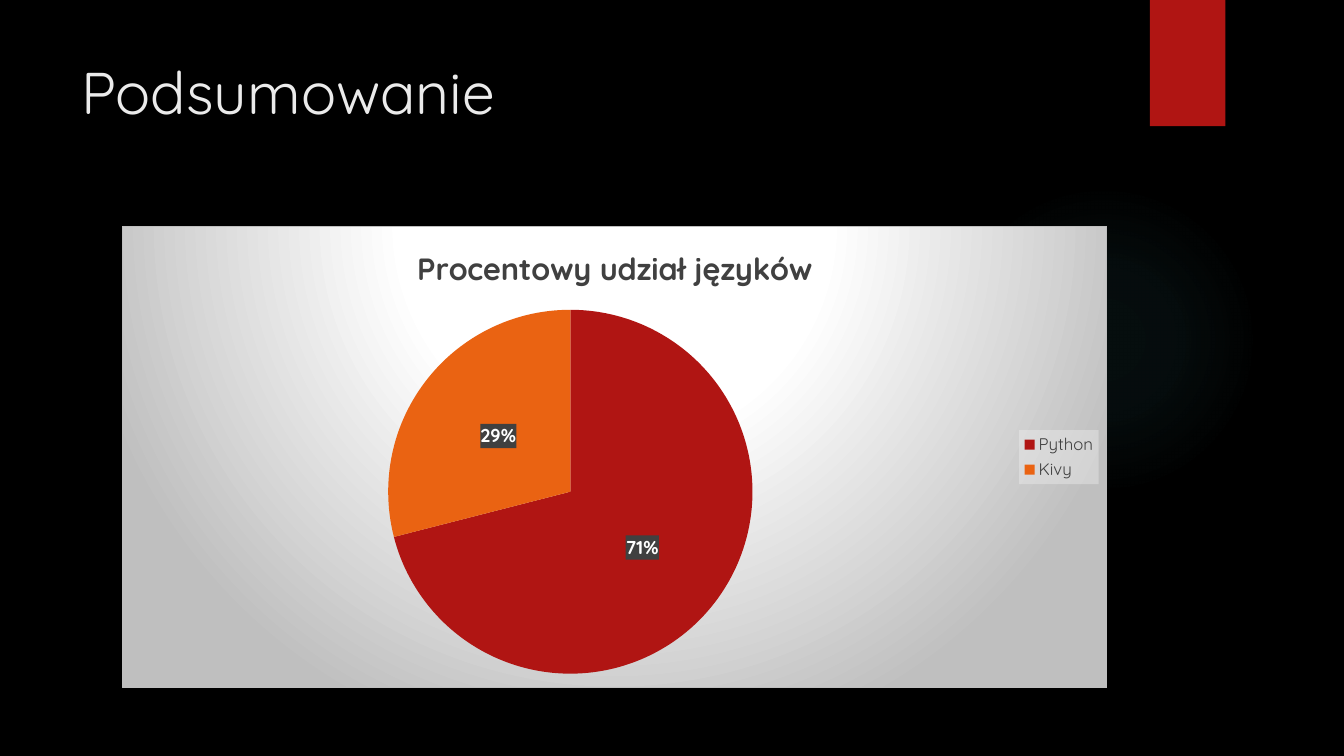
"""Build the summary slide with a pie chart of language shares."""
import lxml.etree
import pptx
import pptx.chart.data
import pptx.dml.color
import pptx.enum.chart
import pptx.enum.shapes
import pptx.enum.text
import pptx.oxml.ns
import pptx.util
from pptx.util import Cm, Pt

FONT = "Quicksand"
TITLE = "Podsumowanie"
CHART_TITLE = "Procentowy udział języków"
SHARES = [("Python", 71, "B01513"), ("Kivy", 29, "EA6312")]

TITLE_AREA = (1.8, 1.27, 26.14, 3.89)
GLOW_AREA = (23.9, 4.65, 7.82, 7.82)
RIBBON_AREA = (28.98, 0, 1.9, 3.18)
CHART_AREA = (3.07, 5.69, 24.84, 11.66)
PIE_LAYOUT = {"x": 0.27, "y": 0.18, "w": 0.37, "h": 0.79}

GLOW_STOPS = [(0, "50B9C1", 7), (36, "50B9C1", 6), (69, "50B9C1", 0)]
PANEL_STOPS = [(0, "FFFFFF", 100), (39, "FFFFFF", 100), (100, "BFBFBF", 100)]


def rgb(value):
    return pptx.dml.color.RGBColor.from_string(value)


def place(area):
    return [Cm(length) for length in area]


def style(font, size, color, bold=False):
    font.name, font.size, font.bold = FONT, Pt(size), bold
    font.color.rgb = rgb(color)


def xml(text):
    spaces = " ".join(pptx.oxml.ns.nsdecls(prefix) for prefix in ("a", "c"))
    return pptx.oxml.parse_xml(text.replace(">", f" {spaces}>", 1))


def color_xml(color, alpha):
    return f'<a:srgbClr val="{color}"><a:alpha val="{alpha * 1000}"/></a:srgbClr>'


def gradient(stops, top, bottom):
    marks = "".join(f'<a:gs pos="{pos * 1000}">{color_xml(color, alpha)}</a:gs>'
                    for pos, color, alpha in stops)
    return (f'<a:gradFill><a:gsLst>{marks}</a:gsLst><a:path path="circle">'
            f'<a:fillToRect l="50000" t="{top * 1000}" r="50000" b="{bottom * 1000}"/>'
            '</a:path></a:gradFill>')


def set_background(element, fill, line="<a:ln><a:noFill/></a:ln>"):
    element.xpath("c:txPr")[0].addprevious(xml(f"<c:spPr>{fill}{line}</c:spPr>"))


def solid(color, alpha):
    return f"<a:solidFill>{color_xml(color, alpha)}</a:solidFill>"


def add_plain_shape(page, kind, area):
    shape = page.shapes.add_shape(kind, *place(area))
    shape.shadow.inherit = False
    shape.line.fill.background()
    return shape


def add_title(page):
    title = page.shapes.title
    title.left, title.top, title.width, title.height = place(TITLE_AREA)
    frame = title.text_frame
    frame.text = TITLE
    frame.vertical_anchor = pptx.enum.text.MSO_ANCHOR.TOP
    para = frame.paragraphs[0]
    para.alignment = pptx.enum.text.PP_ALIGN.LEFT
    style(para.font, 42, "EBEBEB")


def add_decoration(page):
    kinds = pptx.enum.shapes.MSO_SHAPE
    glow = add_plain_shape(page, kinds.OVAL, GLOW_AREA)
    outline = glow.element.spPr.xpath("a:prstGeom")[0]
    outline.addnext(xml(gradient(GLOW_STOPS, 50, 50)))
    ribbon = add_plain_shape(page, kinds.RECTANGLE, RIBBON_AREA)
    ribbon.fill.solid()
    ribbon.fill.fore_color.rgb = rgb("B01513")


def add_pie(page):
    data = pptx.chart.data.CategoryChartData()
    data.categories = [name for name, share, color in SHARES]
    data.add_series(CHART_TITLE, [share for name, share, color in SHARES])
    chart = page.shapes.add_chart(
        pptx.enum.chart.XL_CHART_TYPE.PIE, *place(CHART_AREA), data).chart
    style(chart.font, 10, "FFFFFF")
    border = f'<a:ln w="9525">{solid("BFBFBF", 100)}</a:ln>'
    set_background(chart.element, gradient(PANEL_STOPS, -80, 180), border)

    chart.has_title = True
    heading = chart.chart_title.text_frame
    heading.text = CHART_TITLE
    style(heading.paragraphs[0].font, 22, "404040", True)

    chart.has_legend = True
    legend = chart.legend
    legend.position = pptx.enum.chart.XL_LEGEND_POSITION.RIGHT
    legend.include_in_layout = False
    style(legend.font, 12, "404040")
    set_background(legend.font and chart.element.xpath("c:chart/c:legend")[0],
                   solid("F2F2F2", 39))

    plot = chart.plots[0]
    plot.vary_by_categories = True
    for index, (name, share, color) in enumerate(SHARES):
        fill = plot.series[0].points[index].format.fill
        fill.solid()
        fill.fore_color.rgb = rgb(color)

    labels = plot.series[0].data_labels
    labels.show_percentage = True
    labels.show_value = False
    labels.number_format, labels.number_format_is_linked = "0%", False
    labels.position = pptx.enum.chart.XL_LABEL_POSITION.CENTER
    style(labels.font, 13.3, "FFFFFF", True)
    set_background(chart.element.xpath(".//c:ser/c:dLbls")[0], solid("404040", 90))

    plot_area = chart.element.xpath("c:chart/c:plotArea")[0]
    for layout in plot_area.xpath("c:layout"):
        plot_area.remove(layout)
    modes = "".join(f'<c:{axis}Mode val="edge"/>' for axis in "xy")
    sizes = "".join(f'<c:{key} val="{value}"/>' for key, value in PIE_LAYOUT.items())
    plot_area.insert(0, xml('<c:layout><c:manualLayout><c:layoutTarget val="inner"/>'
                            f"{modes}{sizes}</c:manualLayout></c:layout>"))


def main():
    deck = pptx.Presentation()
    deck.slide_width, deck.slide_height = Cm(33.87), Cm(19.05)
    page = deck.slides.add_slide(deck.slide_layouts[5])
    page.background.fill.solid()
    page.background.fill.fore_color.rgb = rgb("000000")
    add_title(page)
    add_decoration(page)
    add_pie(page)
    deck.save("out.pptx")


if __name__ == "__main__":
    main()
